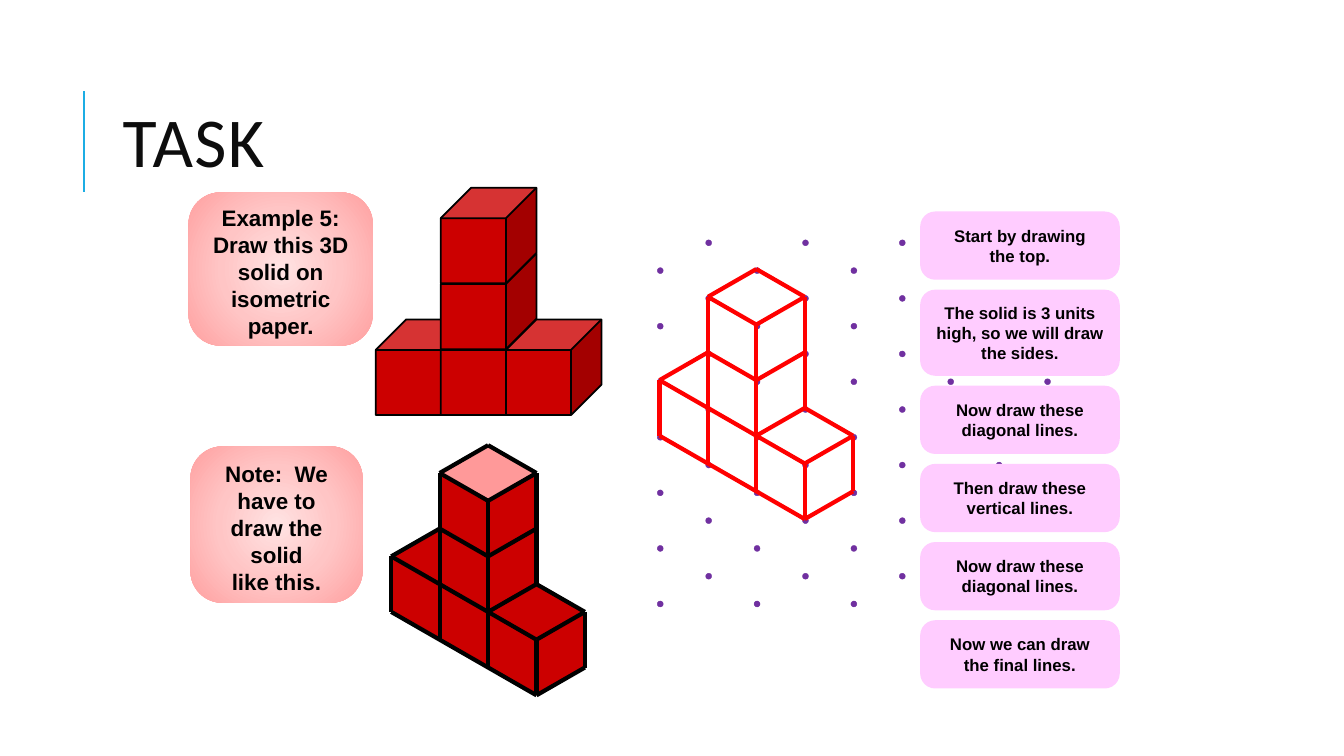
"""Build the isometric drawing task slide."""
import dataclasses

import pptx
import pptx.dml.color
import pptx.enum.shapes
import pptx.enum.text
import pptx.oxml
import pptx.oxml.ns
import pptx.util

Cm = pptx.util.Cm
Preset = pptx.enum.shapes.MSO_SHAPE
Anchor = pptx.enum.text.MSO_ANCHOR


@dataclasses.dataclass(frozen=True)
class Theme:
    """Colours, fonts and type sizes of the slide."""
    accent: str = "1CADE4"
    title: str = "0D0D0D"
    ink: str = "000000"
    solid: str = "CC0000"
    solid_top: str = "FF9999"
    sketch: str = "FF0000"
    dot: str = "7030A0"
    step: str = "FFCCFF"
    glow: tuple = ((0, "FFE3E3"), (50, "FFC5C5"), (100, "FFA0A0"))
    title_font: str = "Calibri"
    body_font: str = "Arial"
    title_size: int = 50
    callout_size: int = 16
    step_size: int = 12


THEME = Theme()

COLUMN_PITCH, ROW_PITCH = 1.22, 0.7
DOT_ORIGIN = (16.64, 6.12)
SKETCH_ORIGIN = (16.62, 6.08)
SOLID_ORIGIN = (9.86, 10.52)

EDGES = [
    ((2, 1), (3, 2)), ((3, 6), (2, 7)), ((1, 8), (1, 2)), ((2, 9), (2, 3)),
    ((3, 10), (3, 8)), ((4, 9), (4, 7)), ((1, 2), (2, 3)), ((1, 4), (2, 5)),
    ((3, 6), (4, 7)), ((0, 5), (3, 8)), ((0, 7), (3, 10)), ((3, 6), (3, 2)),
    ((2, 1), (1, 2)), ((3, 2), (2, 3)), ((3, 4), (2, 5)), ((4, 7), (3, 8)),
    ((4, 9), (3, 10)), ((0, 7), (0, 5)), ((1, 4), (0, 5)),
]
OUTLINE = [(2, 1), (1, 2), (1, 8), (3, 10), (4, 9), (4, 7), (3, 6), (3, 2)]
TOP_FACE = [(2, 1), (1, 2), (2, 3), (3, 2)]
STRAY_DOTS = [(6, 5), (8, 5), (7, 8)]

STEPS = [
    (1.72, ["Start by drawing", "the top."]),
    (2.17, ["The solid is 3 units high, so we will draw the sides."]),
    (1.72, ["Now draw these diagonal lines."]),
    (1.72, ["Then draw these vertical lines."]),
    (1.72, ["Now draw these diagonal lines."]),
    (1.72, ["Now we can draw the final lines."]),
]


def rgb(colour):
    """Turn a hex string into a colour."""
    return pptx.dml.color.RGBColor.from_string(colour)


def lattice_point(origin, col, row):
    """Place a lattice node, counted in columns and half rows."""
    return Cm(origin[0] + col * COLUMN_PITCH), Cm(origin[1] + row * ROW_PITCH)


def paint(shape, fill, line=None, width=0):
    """Give a shape a flat fill and an optional outline."""
    shape.shadow.inherit = False
    shape.fill.solid()
    shape.fill.fore_color.rgb = rgb(fill)
    if line:
        shape.line.color.rgb = rgb(line)
        shape.line.width = pptx.util.Pt(width)
    else:
        shape.line.fill.background()


def add_preset(slide, preset, box, fill, line=None, width=0):
    """Add a painted preset shape in a box given in centimetres."""
    shape = slide.shapes.add_shape(preset, *map(Cm, box))
    paint(shape, fill, line, width)
    return shape


def add_line(slide, start, end, colour, width):
    """Draw a straight line between two points."""
    line = slide.shapes.add_connector(
        pptx.enum.shapes.MSO_CONNECTOR.STRAIGHT, *start, *end)
    line.line.color.rgb = rgb(colour)
    line.line.width = pptx.util.Pt(width)
    line._element.spPr.append(pptx.oxml.parse_xml(
        f"<a:effectLst {pptx.oxml.ns.nsdecls('a')}/>"))


def add_face(slide, origin, nodes, fill):
    """Fill a polygon whose corners are lattice nodes."""
    corners = [lattice_point(origin, *node) for node in nodes]
    outline = slide.shapes.build_freeform(*corners[0])
    outline.add_line_segments(corners[1:], close=True)
    paint(outline.convert_to_shape(), fill)


def add_edges(slide, origin, colour):
    """Draw the edges of the solid on the lattice."""
    for start, end in EDGES:
        add_line(slide, lattice_point(origin, *start),
                 lattice_point(origin, *end), colour, 3)


def add_dots(slide):
    """Lay out the isometric paper."""
    nodes = [(col, row) for col in range(6) for row in range((col + 1) % 2, 14, 2)]
    diameter = Cm(0.15)
    for node in nodes + STRAY_DOTS:
        x, y = lattice_point(DOT_ORIGIN, *node)
        dot = slide.shapes.add_shape(
            Preset.OVAL, x - diameter // 2, y - diameter // 2, diameter, diameter)
        paint(dot, THEME.dot, THEME.dot, 0.25)


def add_cubes(slide):
    """Stack the cubes of the solid, back to front."""
    side, pitch = 2.41, 1.66
    for col, level in [(0, 0), (1, 0), (2, 0), (1, 1), (1, 2)]:
        box = (9.47 + col * 1.64, 8.05 - level * pitch, side, side)
        cube = add_preset(slide, Preset.CUBE, box, THEME.solid, THEME.ink, 1.25)
        cube.adjustments[0] = 0.319


def add_card(slide, box, lines, fill, radius, size, insets):
    """Add a rounded card with centred bold text."""
    card = add_preset(slide, Preset.ROUNDED_RECTANGLE, box, fill)
    card.adjustments[0] = radius / min(box[2:])
    frame = card.text_frame
    frame.word_wrap = True
    frame.vertical_anchor = Anchor.MIDDLE
    side, top = insets
    frame.margin_left = frame.margin_right = Cm(side)
    frame.margin_top, frame.margin_bottom = Cm(top), 0
    frame.text = "\n".join(lines)
    for paragraph in frame.paragraphs:
        paragraph.alignment = pptx.enum.text.PP_ALIGN.CENTER
        paragraph.font.name = THEME.body_font
        paragraph.font.size = pptx.util.Pt(size)
        paragraph.font.bold = True
        paragraph.font.color.rgb = rgb(THEME.ink)
    return card


def add_callout(slide, box, lines):
    """Add a card that glows from its centre."""
    card = add_card(slide, box, lines, THEME.solid_top, 0.8,
                    THEME.callout_size, (0.24, 0.14))
    stops = "".join(
        f'<a:gs pos="{place * 1000}"><a:srgbClr val="{colour}"/></a:gs>'
        for place, colour in THEME.glow)
    glow = pptx.oxml.parse_xml(
        f'<a:gradFill {pptx.oxml.ns.nsdecls("a")} rotWithShape="1">'
        f'<a:gsLst>{stops}</a:gsLst><a:path path="circle">'
        '<a:fillToRect l="50000" t="50000" r="50000" b="50000"/>'
        '</a:path></a:gradFill>')
    properties = card._element.spPr
    flat = properties.find(pptx.oxml.ns.qn("a:solidFill"))
    properties.replace(flat, glow)


def add_title(slide, text):
    """Add the title and the rule beside it."""
    add_line(slide, (Cm(2.11), Cm(4.83)), (Cm(2.11), Cm(2.29)), THEME.accent, 1.5)
    title = slide.shapes.add_textbox(Cm(2.84), Cm(1.63), Cm(27), Cm(4.17))
    frame = title.text_frame
    frame.word_wrap = True
    frame.vertical_anchor = Anchor.MIDDLE
    frame.text = text
    paragraph = frame.paragraphs[0]
    paragraph.line_spacing = 0.8
    paragraph.font.name = THEME.title_font
    paragraph.font.size = pptx.util.Pt(THEME.title_size)
    paragraph.font.color.rgb = rgb(THEME.title)
    paragraph.runs[0]._r.get_or_add_rPr().set("spc", "100")


def add_steps(slide):
    """Stack the drawing steps with equal gaps."""
    top = 5.33
    for height, lines in STEPS:
        add_card(slide, (23.19, top, 5.03, height), lines, THEME.step, 0.38,
                 THEME.step_size, (0.28, 0))
        top += height + 0.25


def main():
    """Compose the slide and save it."""
    deck = pptx.Presentation()
    deck.slide_width, deck.slide_height = Cm(33.87), Cm(19.05)
    slide = deck.slides.add_slide(deck.slide_layouts[6])
    add_title(slide, "TASK")
    add_face(slide, SOLID_ORIGIN, OUTLINE, THEME.solid)
    left_face = add_preset(slide, Preset.PARALLELOGRAM,
                           (9.47, 14.45, 2.03, 1.24), THEME.solid)
    left_face.adjustments[0] = 0.567
    left_face.rotation = 90
    add_preset(slide, Preset.DIAMOND, (9.88, 13.36, 2.39, 1.35), THEME.solid)
    add_face(slide, SOLID_ORIGIN, TOP_FACE, THEME.solid_top)
    add_dots(slide)
    add_edges(slide, SKETCH_ORIGIN, THEME.sketch)
    add_edges(slide, SOLID_ORIGIN, THEME.ink)
    add_steps(slide)
    add_cubes(slide)
    add_callout(slide, (4.75, 4.85, 4.65, 3.86),
                ["Example 5:", "Draw this 3D solid on", "isometric paper."])
    add_callout(slide, (4.8, 11.25, 4.34, 3.94),
                ["Note:  We have to draw the solid", "like this."])
    deck.save("out.pptx")


if __name__ == "__main__":
    main()
